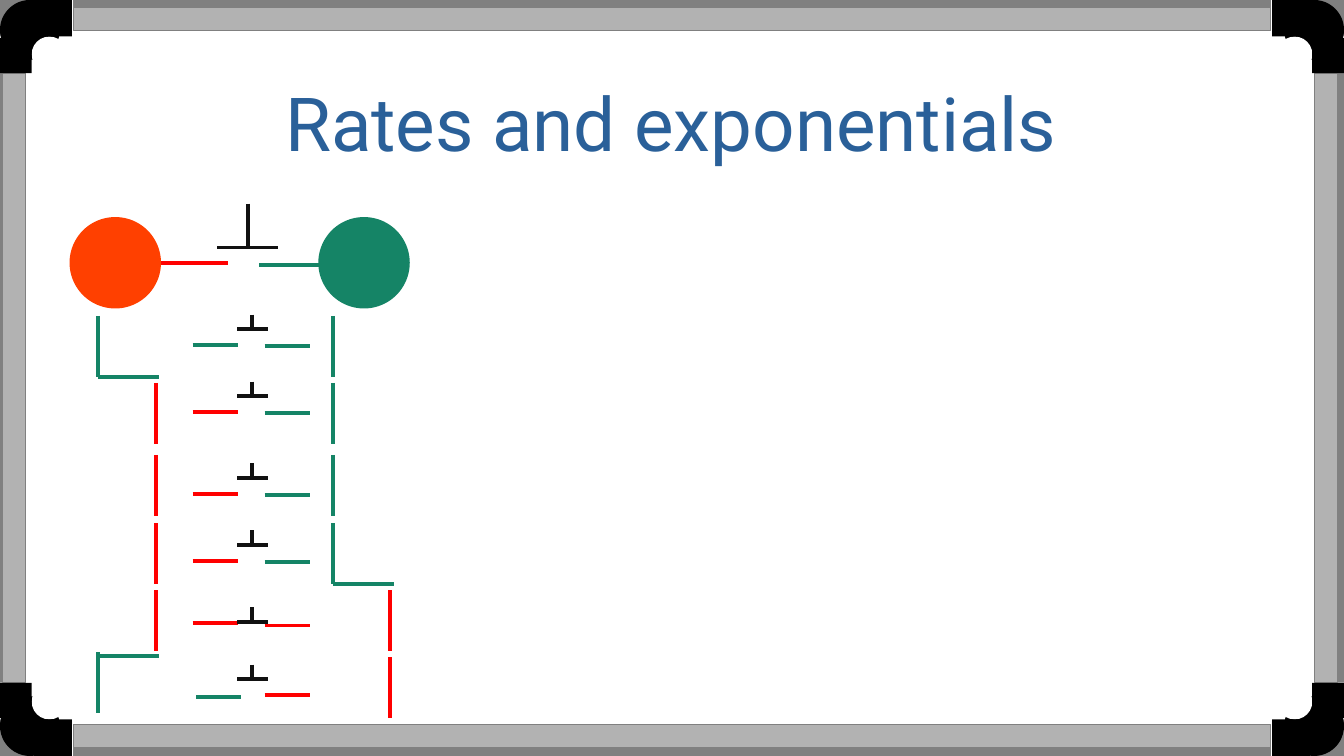
from lxml import etree
from pptx import Presentation
from pptx.dml.color import RGBColor
from pptx.enum.shapes import MSO_CONNECTOR, MSO_SHAPE
from pptx.enum.text import MSO_ANCHOR, PP_ALIGN
from pptx.oxml.ns import qn
from pptx.util import Inches, Pt

RECT, OVAL = MSO_SHAPE.RECTANGLE, MSO_SHAPE.OVAL
STRAIGHT = MSO_CONNECTOR.STRAIGHT
WIDTH, HEIGHT = 11.02, 6.2
COLORS = {"edge": "808080", "rail": "B2B2B2", "corner": "000000",
          "board": "FFFFFF", "title": "2A6099", "green": "158466",
          "orange": "FF4000", "red": "FF0000", "button": "111111"}

TITLE = "Rates and exponentials"
TITLE_FORMAT = {"name": "Roboto", "size": Pt(44)}

# Board frame: edge strip (left, top), rail (left, top), size
RAIL, RAIL_START = 0.19, 0.6
ACROSS, DOWN = WIDTH - 2 * RAIL_START, HEIGHT - 2 * RAIL_START
RAILS = [
    ((0, RAIL_START), (0.02, RAIL_START), (RAIL, DOWN)),
    ((WIDTH - RAIL, RAIL_START), (10.78, RAIL_START), (RAIL, DOWN)),
    ((RAIL_START, 0), (RAIL_START, 0.06), (ACROSS, RAIL)),
    ((RAIL_START, HEIGHT - RAIL), (RAIL_START, 5.94), (ACROSS, RAIL)),
]
# Top-left corner, mirrored into the other three
CORNER = [
    (RECT, 0, 0, 0.28, 0.3, "edge"),
    (OVAL, 0, 0, 0.49, 0.49, "corner"),
    (OVAL, 0.26, 0.3, 0.29, 0.29, "board"),
    (RECT, 0, 0.31, 0.26, 0.29, "corner"),
    (RECT, 0.28, 0, 0.31, 0.3, "corner"),
]

# Lamps: left, top, colour
LAMP_SIZE = 0.75
LAMPS = [(0.57, 1.78, "orange"), (2.61, 1.78, "green")]
LAMP_WIRES = [((1.12, 2.16), (1.87, 2.16), "red"),
              ((2.62, 2.17), (2.12, 2.17), "green")]
# Buttons: centre, bar height on the slide, half bar, stem
MAIN_BUTTON = (2.03, 2.03, 0.25, 0.36)
SMALL_CENTER, SMALL_HALF, SMALL_STEM = 2.07, 0.125, 0.12

# Steps: bar y, then (wire start x, wire y, colour) left and right
WIRE = 0.37
STEPS = [
    (2.70, (1.58, 2.83, "green"), (2.17, 2.84, "green")),
    (3.25, (1.58, 3.38, "red"), (2.17, 3.39, "green")),
    (3.92, (1.58, 4.05, "red"), (2.17, 4.06, "green")),
    (4.47, (1.58, 4.60, "red"), (2.17, 4.61, "green")),
    (5.10, (1.58, 5.11, "red"), (2.17, 5.13, "red")),
    (5.57, (1.61, 5.72, "green"), (2.17, 5.70, "red")),
]

# Traces: x of each state, tops by state, y of the level changes
TRACE = 0.5
TRACES = [
    ({"green": 0.8, "red": 1.28},
     [("green", 2.59), ("red", 3.14), ("red", 3.73), ("red", 4.29),
      ("red", 4.84), ("green", 5.35)], [3.09, 5.38]),
    ({"green": 2.73, "red": 3.2},
     [("green", 2.59), ("green", 3.14), ("green", 3.73), ("green", 4.29),
      ("red", 4.84), ("red", 5.39)], [4.79]),
]

deck = Presentation()
deck.slide_width, deck.slide_height = Inches(WIDTH), Inches(HEIGHT)
page = deck.slides.add_slide(deck.slide_layouts[6])


def color(name):
    return RGBColor.from_string(COLORS[name])


def add_block(kind, left, top, width, height, fill, outline=None):
    block = page.shapes.add_shape(
        kind, *(Inches(v) for v in (left, top, width, height)))
    block.shadow.inherit = False
    block.fill.solid()
    block.fill.fore_color.rgb = color(fill)
    if outline:
        block.line.color.rgb = color(outline)
        block.line.width = Pt(0)
    else:
        block.line.fill.background()


def add_line(start, end, stroke):
    line = page.shapes.add_connector(
        STRAIGHT, *(Inches(v) for v in (*start, *end)))
    line.line.color.rgb = color(stroke)
    line.line.width = Pt(2.3)
    etree.SubElement(line._element.spPr, qn("a:effectLst"))


def add_button(x, y, half, stem):
    add_line((x - half, y), (x + half, y), "button")
    add_line((x, y - stem), (x, y), "button")


def add_frame():
    for edge, rail, size in RAILS:
        add_block(RECT, *edge, *size, "edge")
        add_block(RECT, *rail, *size, "rail", "edge")
    for at_right in (False, True):
        for at_bottom in (False, True):
            for kind, left, top, width, height, fill in CORNER:
                x = WIDTH - left - width if at_right else left
                y = HEIGHT - top - height if at_bottom else top
                add_block(kind, x, y, width, height, fill)


def add_title():
    box = page.shapes.add_textbox(
        *(Inches(v) for v in (0.55, 0.6, 9.91, 0.8)))
    frame = box.text_frame
    settings = {"word_wrap": True, "vertical_anchor": MSO_ANCHOR.MIDDLE,
                "margin_left": 0, "margin_right": 0,
                "margin_top": 0, "margin_bottom": 0}
    for key, value in settings.items():
        setattr(frame, key, value)
    para = frame.paragraphs[0]
    para.alignment = PP_ALIGN.CENTER
    span = para.add_run()
    span.text = TITLE
    for key, value in TITLE_FORMAT.items():
        setattr(span.font, key, value)
    span.font.color.rgb = color("title")


def add_circuit():
    for wire in LAMP_WIRES:
        add_line(*wire)
    for left, top, fill in LAMPS:
        add_block(OVAL, left, top, LAMP_SIZE, LAMP_SIZE, fill)
    add_button(*MAIN_BUTTON)


def add_traces():
    for columns, segments, changes in TRACES:
        for state, top in segments:
            x = columns[state]
            add_line((x, top), (x, top + TRACE), state)
        for y in changes:
            x = columns["green"]
            add_line((x + TRACE, y), (x, y), "green")


def add_steps():
    for bar, *wires in STEPS:
        for x, y, state in wires:
            add_line((x, y), (x + WIRE, y), state)
        add_button(SMALL_CENTER, bar, SMALL_HALF, SMALL_STEM)


add_frame()
add_title()
add_circuit()
add_traces()
add_steps()
deck.save("out.pptx")
